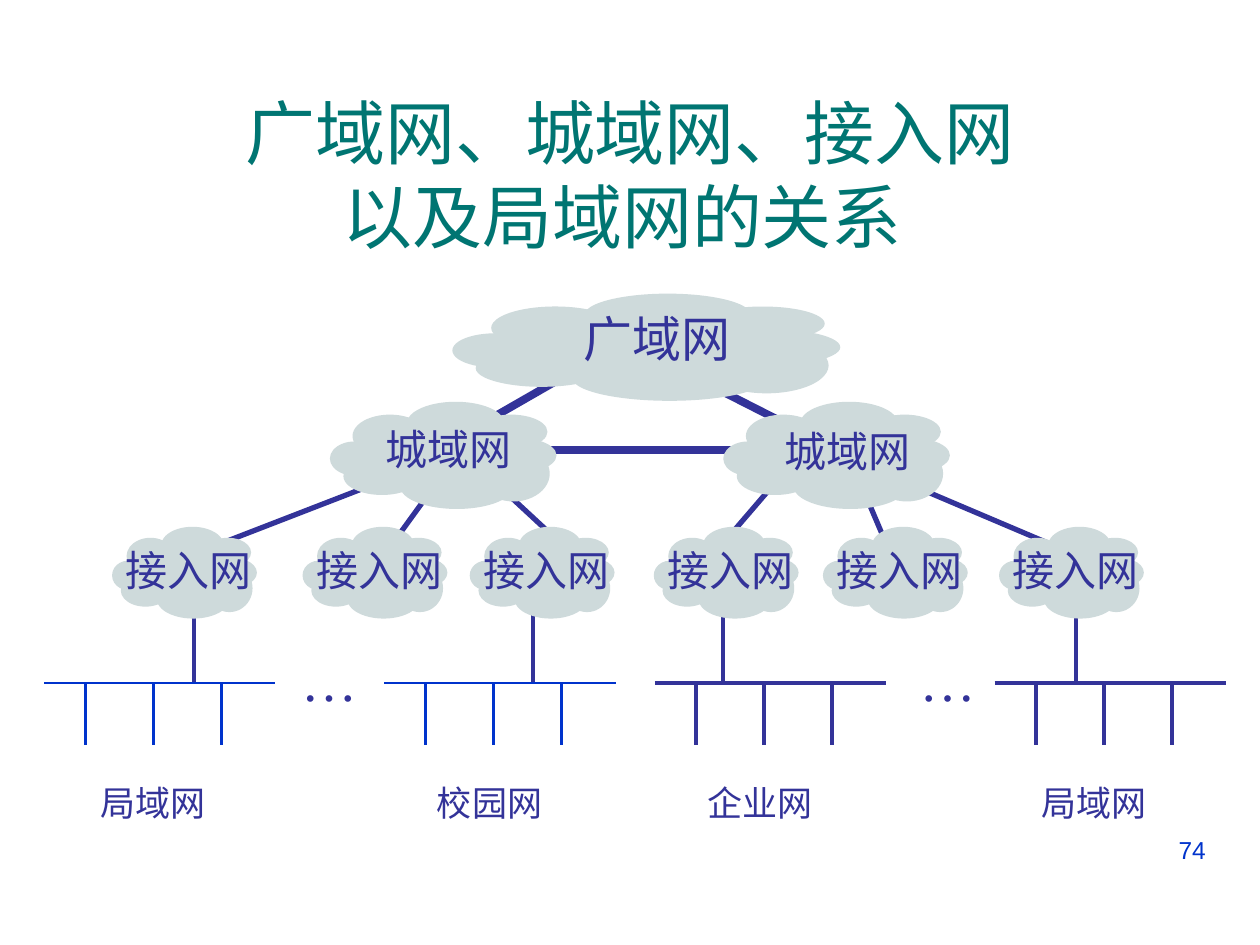
import lxml.etree
import pptx
import pptx.dml.color
import pptx.enum.shapes
import pptx.enum.text
import pptx.oxml.ns
import pptx.util

Cm = pptx.util.Cm
Pt = pptx.util.Pt

INDIGO, BLUE, TEAL, MIST = "333399", "0033CC", "007572", "CEDADB"
SERIF, SANS = "Times New Roman", "Arial"

# Left, top, width and height of each puff as shares of the whole cloud
CLOUD_PUFFS = [
    (0.34, 0, 0.43, 0.4),
    (0.1, 0.12, 0.33, 0.4),
    (0, 0.37, 0.22, 0.32),
    (0.06, 0.52, 0.34, 0.35),
    (0.31, 0.58, 0.5, 0.42),
    (0.64, 0.12, 0.32, 0.32),
    (0.68, 0.34, 0.32, 0.32),
    (0.65, 0.41, 0.32, 0.52),
    (0.18, 0.25, 0.65, 0.53),
]

BUS_TOP, BUS_WIDTH, TAP_BOTTOM = 13.77, 4.66, 15.01
FIRST_TAP, TAP_STEP = 0.83, 1.37

ACCESS_LEFTS = [2.26, 6.1, 9.47, 13.18, 16.59, 20.14]
ACCESS_DROPS = [3.91, 10.74, 14.58, 21.69]

# Start x, end x
CITY_TO_ACCESS = [(7.75, 4.47), (8.84, 7.92), (9.93, 11.3),
                  (15.67, 14.58), (17.32, 17.86), (18.14, 21.13)]
WIDE_TO_CITY = [(12.12, 7.16, 9.37, 8.74), (13.77, 7.49, 16.23, 8.74),
                (10.46, 9.07, 15.11, 9.07)]

# Left, colour, line width
LOCAL_NETWORKS = [(0.89, BLUE, 1.5), (7.75, BLUE, 1.5),
                  (13.2, INDIGO, 2.25), (20.05, INDIGO, 2.25)]

# Text, left, top, width, height, size
CAPTIONS = [
    ("局域网", 1.78, 15.62, 2.62, 1.12, 20),
    ("校园网", 8.56, 15.62, 2.62, 1.12, 20),
    ("企业网", 14.02, 15.62, 2.62, 1.12, 20),
    ("局域网", 20.75, 15.62, 2.62, 1.12, 20),
    ("…", 5.82, 12.88, 1.65, 1.6, 32),
    ("…", 18.29, 12.88, 1.65, 1.6, 32),
]


def rgb(value):
    return pptx.dml.color.RGBColor.from_string(value)


def style_font(paragraph, name, size, color):
    paragraph.font.name = name
    paragraph.font.size = Pt(size)
    paragraph.font.color.rgb = rgb(color)


def add_title(slide, text):
    title = slide.shapes.title
    title.left, title.top = Cm(0.84), Cm(1.9)
    title.width, title.height = Cm(23.72), Cm(3.18)
    frame = title.text_frame
    frame.text = text
    frame.auto_size = pptx.enum.text.MSO_AUTO_SIZE.NONE
    frame.vertical_anchor = pptx.enum.text.MSO_ANCHOR.MIDDLE
    paragraph = frame.paragraphs[0]
    paragraph.alignment = pptx.enum.text.PP_ALIGN.CENTER
    style_font(paragraph, SANS, 40, TEAL)


def add_label(slide, text, left, top, width, height, size):
    box = slide.shapes.add_textbox(Cm(left), Cm(top), Cm(width), Cm(height))
    frame = box.text_frame
    frame.text = text
    frame.word_wrap = False
    frame.auto_size = pptx.enum.text.MSO_AUTO_SIZE.SHAPE_TO_FIT_TEXT
    style_font(frame.paragraphs[0], SERIF, size, INDIGO)


def add_page_number(slide, text):
    box = slide.shapes.add_textbox(Cm(18.21), Cm(16.71), Cm(6.35), Cm(1.32))
    frame = box.text_frame
    frame.text = text
    frame.word_wrap = True
    paragraph = frame.paragraphs[0]
    paragraph.alignment = pptx.enum.text.PP_ALIGN.RIGHT
    style_font(paragraph, SANS, 14, BLUE)


def add_line(shapes, start_x, start_y, end_x, end_y, color, width):
    line = shapes.add_connector(
        pptx.enum.shapes.MSO_CONNECTOR.STRAIGHT,
        Cm(start_x), Cm(start_y), Cm(end_x), Cm(end_y))
    line.line.color.rgb = rgb(color)
    line.line.width = Pt(width)
    lxml.etree.SubElement(line._element.spPr, pptx.oxml.ns.qn("a:effectLst"))


def add_cloud(slide, left, top, width, height):
    cloud = slide.shapes.add_group_shape()
    for x, y, puff_width, puff_height in CLOUD_PUFFS:
        puff = cloud.shapes.add_shape(
            pptx.enum.shapes.MSO_SHAPE.OVAL,
            Cm(left + x * width), Cm(top + y * height),
            Cm(puff_width * width), Cm(puff_height * height))
        puff.shadow.inherit = False
        puff.fill.solid()
        puff.fill.fore_color.rgb = rgb(MIST)
        puff.line.fill.background()


def add_local_network(slide, left, color, width):
    """Draw a bus line with three taps hanging from it."""
    network = slide.shapes.add_group_shape()
    for index in range(3):
        x = left + FIRST_TAP + index * TAP_STEP
        add_line(network.shapes, x, TAP_BOTTOM, x, BUS_TOP, color, width)
    add_line(network.shapes, left, BUS_TOP, left + BUS_WIDTH, BUS_TOP, color, width)


def add_links(slide):
    for x in ACCESS_DROPS:
        add_line(slide.shapes, x, 12.19, x, BUS_TOP, INDIGO, 2.25)
    for start_x, end_x in CITY_TO_ACCESS:
        add_line(slide.shapes, start_x, 9.68, end_x, 10.95, INDIGO, 3)
    for ends in WIDE_TO_CITY:
        add_line(slide.shapes, *ends, INDIGO, 4.5)


def main():
    presentation = pptx.Presentation()
    presentation.slide_width, presentation.slide_height = Cm(25.4), Cm(19.05)
    slide = presentation.slides.add_slide(presentation.slide_layouts[5])

    add_page_number(slide, "74")
    add_title(slide, "广域网、城域网、接入网\v以及局域网的关系 ")
    add_links(slide)

    for left, label_left, label_top in [(6.65, 7.52, 8.41), (14.58, 15.57, 8.46)]:
        add_cloud(slide, left, 8.1, 4.57, 2.16)
        add_label(slide, "城域网", label_left, label_top, 3.05, 1.27, 24)
    for left in ACCESS_LEFTS:
        add_cloud(slide, left, 10.62, 2.92, 1.85)
        add_label(slide, "接入网", left + 0.03, 10.85, 3.05, 1.27, 24)
    for network in LOCAL_NETWORKS:
        add_local_network(slide, *network)
    add_cloud(slide, 9.12, 5.92, 7.82, 2.16)
    add_label(slide, "广域网", 11.51, 6.1, 3.48, 1.45, 28)
    for caption in CAPTIONS:
        add_label(slide, *caption)

    presentation.save("out.pptx")


if __name__ == "__main__":
    main()
